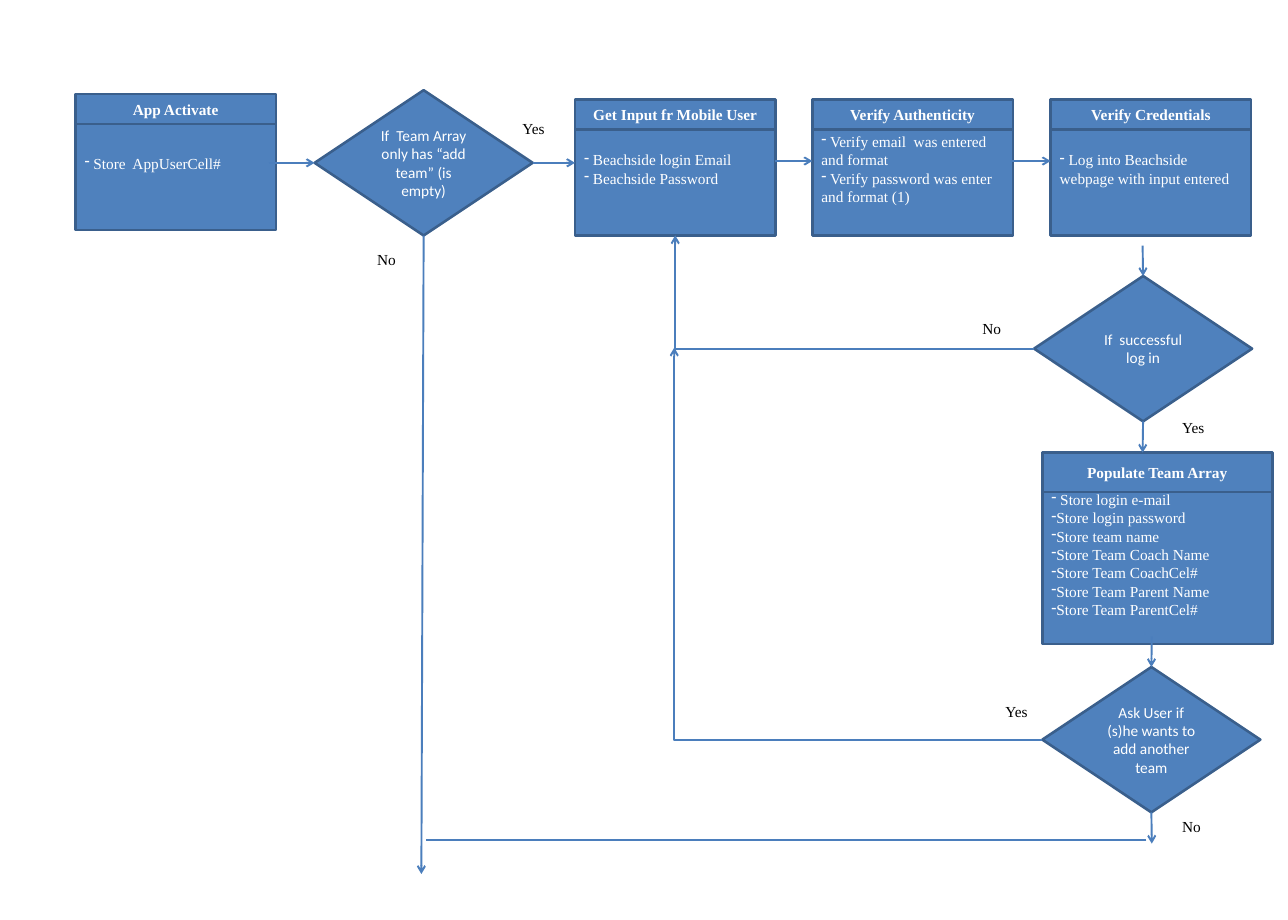
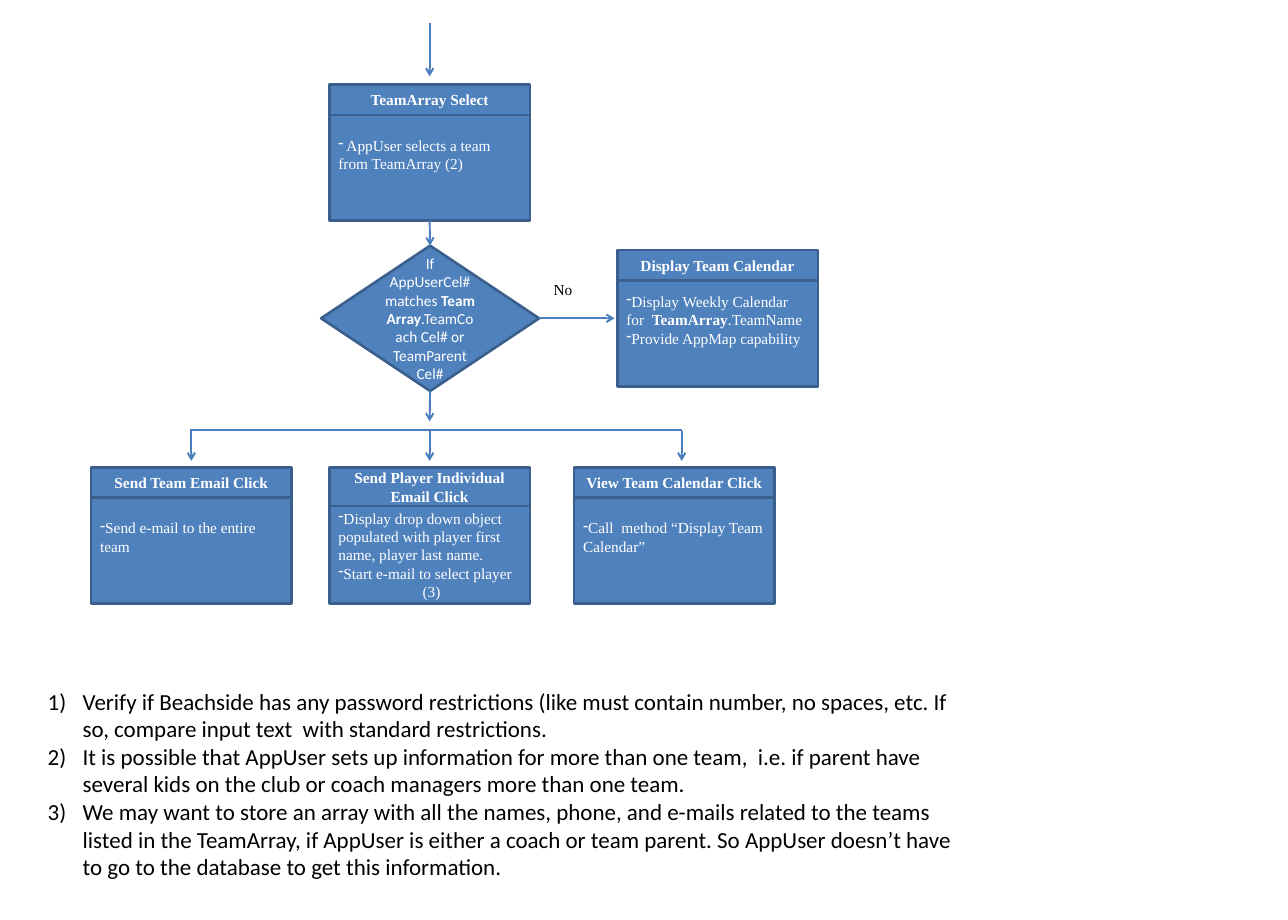
from lxml import etree
from pptx import Presentation
from pptx.dml.color import RGBColor
from pptx.enum.shapes import MSO_CONNECTOR, MSO_SHAPE
from pptx.enum.text import MSO_ANCHOR, PP_ALIGN
from pptx.oxml.ns import qn
from pptx.util import Inches, Pt

RECTANGLE, DECISION = MSO_SHAPE.RECTANGLE, MSO_SHAPE.FLOWCHART_DECISION
STRAIGHT, ELBOW = MSO_CONNECTOR.STRAIGHT, MSO_CONNECTOR.ELBOW
LEFT_ALIGN, CENTER = PP_ALIGN.LEFT, PP_ALIGN.CENTER
MIDDLE = MSO_ANCHOR.MIDDLE
TOP, LEFT, BOTTOM, RIGHT = range(4)

COLORS = {"fill": "4F81BD", "outline": "3A5F8C", "arrow": "4B7EBC",
          "light": "FFFFFF", "dark": "000000"}
SERIF, SANS = "Times New Roman", "Calibri"
BOX_WIDTH, BOX_HEIGHT, HEADER_HEIGHT = 2.18, 1.48, 0.33
DIAMOND_WIDTH, DIAMOND_HEIGHT = 2.37, 1.58


def color(name):
    return RGBColor.from_string(COLORS[name])


class Flowchart:
    def __init__(self):
        self.deck = Presentation()
        self.deck.slide_width = Inches(14)
        self.deck.slide_height = Inches(10)
        self.page = None

    def new_page(self):
        self.page = self.deck.slides.add_slide(self.deck.slide_layouts[6])

    def add_text(self, frame, paragraphs, font, ink="light", size=12, align=LEFT_ALIGN):
        """Fill a frame; each paragraph is a string or a list of (text, bold)."""
        frame.word_wrap = True
        for index, spans in enumerate(paragraphs):
            para = frame.paragraphs[0] if index == 0 else frame.add_paragraph()
            para.alignment = align
            if isinstance(spans, str):
                spans = [(spans, False)]
            for text, bold in spans:
                span = para.add_run()
                span.text = text
                span.font.name = font
                span.font.size = Pt(size)
                span.font.bold = bold
                span.font.color.rgb = color(ink)

    def bullet(self, para, tag, indent=0, **attributes):
        properties = para._p.get_or_add_pPr()
        properties.set("marL", str(Inches(indent)))
        properties.set("indent", str(-Inches(indent)))
        etree.SubElement(properties, qn(tag), attributes)

    def block(self, shapes, kind, left, top, width, height):
        shape = shapes.add_shape(kind, Inches(left), Inches(top),
                                 Inches(width), Inches(height))
        shape.shadow.inherit = False
        shape.fill.solid()
        shape.fill.fore_color.rgb = color("fill")
        shape.line.color.rgb = color("outline")
        shape.line.width = Pt(2)
        shape.text_frame.vertical_anchor = MIDDLE
        return shape

    def box(self, left, top, title, items, closing=None, width=BOX_WIDTH,
            height=BOX_HEIGHT, header_height=HEADER_HEIGHT):
        """Add a header over a dashed list and return the list's shape."""
        shapes = self.page.shapes.add_group_shape().shapes
        header = self.block(shapes, RECTANGLE, left, top, width, header_height)
        self.add_text(header.text_frame, [[(title, True)]], SERIF, align=CENTER)
        body = self.block(shapes, RECTANGLE, left, top + header_height,
                          width, height - header_height)
        frame = body.text_frame
        self.add_text(frame, items + ([closing] if closing else []), SERIF)
        for para in frame.paragraphs[:len(items)]:
            self.bullet(para, "a:buChar", char="-")
        if closing:
            frame.paragraphs[-1].alignment = CENTER
        else:
            frame.margin_bottom = Inches(0.35)
        return body

    def decision(self, left, top, question):
        diamond = self.block(self.page.shapes, DECISION, left, top,
                             DIAMOND_WIDTH, DIAMOND_HEIGHT)
        self.add_text(diamond.text_frame, [question], SANS, align=CENTER)
        return diamond

    def text_box(self, left, top, width, height):
        area = self.page.shapes.add_textbox(Inches(left), Inches(top),
                                            Inches(width), Inches(height))
        return area.text_frame

    def label(self, left, top, text):
        self.add_text(self.text_box(left, top, 0.5, 0.3), [text], SERIF, "dark")

    def notes(self, left, top, width, height, items):
        frame = self.text_box(left, top, width, height)
        self.add_text(frame, items, SANS, "dark", 18)
        for para in frame.paragraphs:
            self.bullet(para, "a:buAutoNum", 0.38, type="arabicParenR")

    def connect(self, start, end, kind=STRAIGHT, arrow=True):
        """Join two ends, each a point (x, y) or a joint (shape, side)."""
        joints = [None if isinstance(place[0], (int, float)) else place
                  for place in (start, end)]
        points = [(0, 0) if joint else place
                  for place, joint in zip((start, end), joints)]
        line = self.page.shapes.add_connector(
            kind, *(Inches(value) for point in points for value in point))
        if joints[0]:
            line.begin_connect(*joints[0])
        if joints[1]:
            line.end_connect(*joints[1])
        line.line.color.rgb = color("arrow")
        line.line.width = Pt(1.5)
        properties = line._element.spPr
        if kind == ELBOW:
            properties.find(qn("a:prstGeom")).set("prst", "bentConnector2")
        if arrow:
            etree.SubElement(properties.find(qn("a:ln")), qn("a:tailEnd"), type="arrow")
        etree.SubElement(properties, qn("a:effectLst"))


def build_login(chart):
    chart.new_page()
    chart.box(0.82, 1.02, "App Activate", [" Store  AppUserCell#"])
    empty = chart.decision(3.42, 0.98, "If  Team Array only has “add team” (is empty)")
    user_input = chart.box(6.25, 1.08, "Get Input fr Mobile User",
                           [" Beachside login Email", " Beachside Password"])
    chart.box(8.83, 1.08, "Verify Authenticity",
              [" Verify email  was entered  and format",
               " Verify password was enter and format (1)"])
    chart.box(11.42, 1.08, "Verify Credentials",
              [" Log into Beachside webpage with input entered"])
    success = chart.decision(11.24, 3, "If  successful log in")
    chart.box(11.33, 4.92, "Populate Team Array",
              [" Store login e-mail", "Store login password", "Store team name",
               "Store Team Coach Name", "Store Team CoachCel#",
               "Store Team Parent Name", "Store Team ParentCel#"],
              width=2.5, height=2.08, header_height=0.43)
    another = chart.decision(11.33, 7.25, "Ask User if (s)he wants to add another team")

    chart.connect((2.92, 1.77), (empty, LEFT))
    chart.connect((empty, RIGHT), (6.25, 1.77))
    chart.connect((empty, BOTTOM), (4.58, 9.5))
    for left, right in ((8.42, 8.83), (11, 11.42)):
        chart.connect((left, 1.75), (right, 1.75))
    chart.connect((12.42, 2.67), (success, TOP))
    chart.connect((success, BOTTOM), (12.42, 4.92))
    chart.connect((success, LEFT), (user_input, BOTTOM), ELBOW)
    chart.connect((12.52, 6.92), (another, TOP))
    chart.connect((another, BOTTOM), (12.52, 9.17))
    chart.connect((another, LEFT), (7.33, 3.78), ELBOW)
    chart.connect((12.46, 9.13), (4.63, 9.13), arrow=False)

    for left, top, answer in ((5.58, 1.25, "Yes"), (4, 2.67, "No"),
                              (10.58, 3.42, "No"), (12.75, 4.5, "Yes"),
                              (10.83, 7.58, "Yes"), (12.75, 8.83, "No")):
        chart.label(left, top, answer)


def build_team_actions(chart):
    chart.new_page()
    select = chart.box(3.58, 0.92, "TeamArray Select",
                       [" AppUser selects a team from TeamArray (2)"])
    match = chart.decision(3.49, 2.67, [("If AppUserCel# matches ", False),
                                        ("Team Array", True),
                                        (".TeamCoach Cel# or TeamParent Cel#", False)])
    chart.box(6.71, 2.72, "Display Team Calendar",
              [[("Display Weekly Calendar for  ", False), ("TeamArray", True),
                (".TeamName", False)],
               "Provide AppMap capability"])
    chart.box(0.99, 5.08, "Send Team Email Click", ["Send e-mail to the entire team"])
    chart.box(3.58, 5.08, "Send Player Individual Email Click",
              ["Display drop down object populated with player first name, "
               "player last name.",
               "Start e-mail to select player"],
              closing=" (3)", header_height=0.42)
    chart.box(6.24, 5.08, "View Team Calendar Click",
              ["Call  method “Display Team Calendar”"])

    chart.connect((4.67, 0.25), (4.67, 0.83))
    chart.connect((select, BOTTOM), (match, TOP))
    chart.connect((match, RIGHT), (6.68, 3.46))
    chart.label(5.92, 3, "No")
    chart.connect((match, BOTTOM), (4.67, 4.58))
    chart.connect((2.07, 4.67), (7.41, 4.67), arrow=False)
    for center in (2.08, 4.67, 7.41):
        chart.connect((center, 4.68), (center, 5.01))

    chart.notes(0.42, 7.42, 10.17, 2.22, [
        "Verify if Beachside has any password restrictions (like must contain number, "
        "no spaces, etc. If so, compare input text  with standard restrictions.",
        "It is possible that AppUser sets up information for more than one team,  "
        "i.e. if parent have several kids on the club or coach managers more than "
        "one team.",
        "We may want to store an array with all the names, phone, and e-mails related "
        "to the teams listed in the TeamArray, if AppUser is either a coach or team "
        "parent. So AppUser doesn’t have to go to the database to get this "
        "information."])


def main():
    chart = Flowchart()
    build_login(chart)
    build_team_actions(chart)
    chart.deck.save("out.pptx")


if __name__ == "__main__":
    main()
